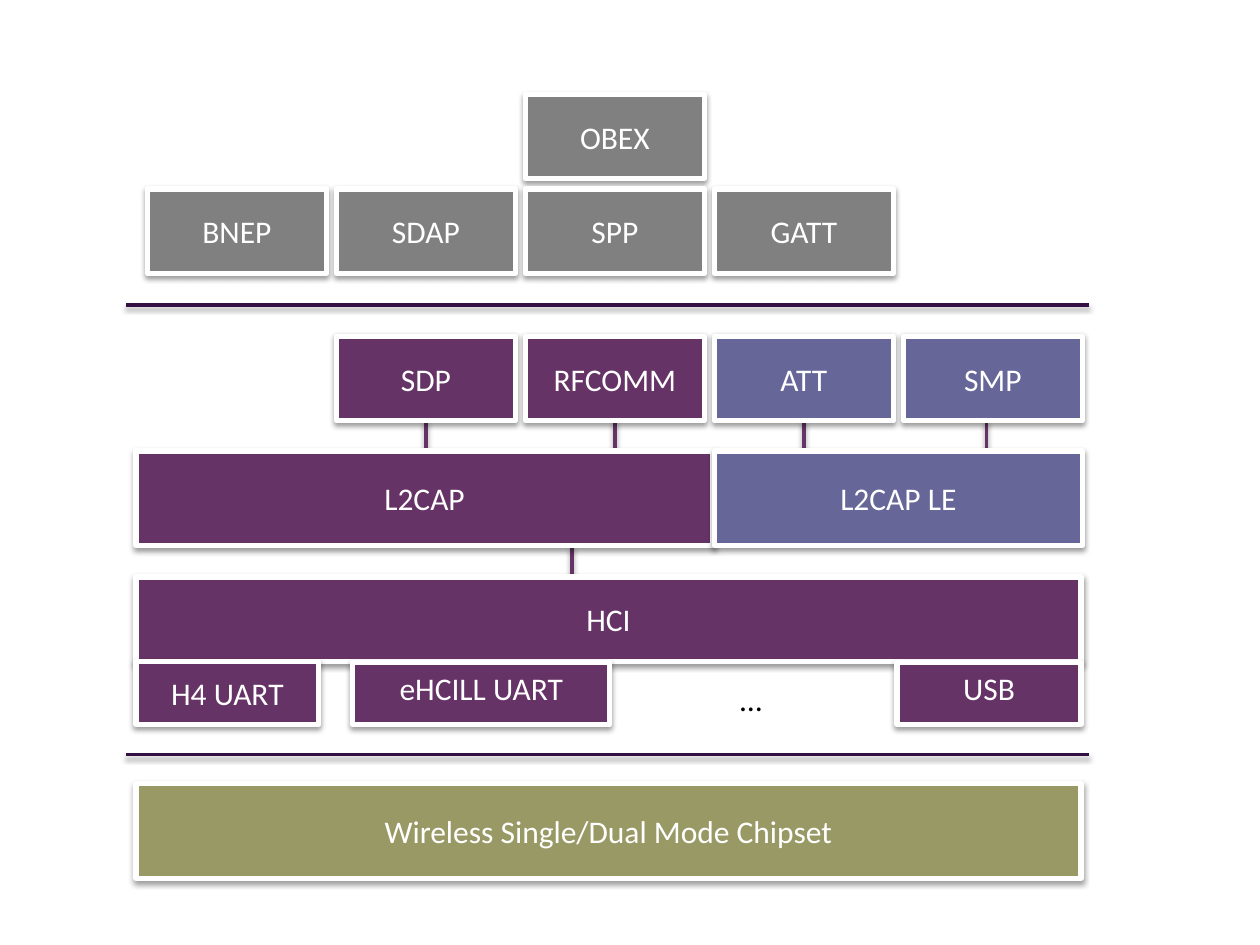
from dataclasses import dataclass

from lxml.etree import SubElement as Sub
from pptx import Presentation
from pptx.dml.color import RGBColor
from pptx.enum.shapes import MSO_CONNECTOR as Link, MSO_SHAPE as Kind
from pptx.enum.text import MSO_ANCHOR as Anchor, PP_ALIGN as Align
from pptx.oxml.ns import qn
from pptx.util import Inches, Pt

PLUM, SLATE, GRAY, OLIVE = "663366", "666699", "808080", "999966"
WHITE, BLACK, DARK = "FFFFFF", "000000", "330F42"
LEFT, WIDE = 1.08, 7.5
COL, STEP, CELL, HIGH = 1.17, 1.5, 1.42, 0.67


@dataclass
class Box:
    """A labelled block of the stack."""
    text: str
    left: float
    top: float
    width: float
    height: float
    fill: str = PLUM
    anchor: Anchor = Anchor.MIDDLE


@dataclass
class Rule:
    """A straight line between two points."""
    left: float
    top: float
    right: float
    bottom: float
    color: str = PLUM


def rgb(code: str) -> RGBColor:
    """Turn a hex string into a colour."""
    return RGBColor.from_string(code)


def cell(text: str, col: int, top: float, fill: str) -> Box:
    """Place a protocol block in a column of the grid."""
    return Box(text, COL + col * STEP, top, CELL, HIGH, fill)


def shade(item) -> None:
    """Give a shape or line a soft shadow below it."""
    props = item._element.spPr
    for old in props.findall(qn("a:effectLst")):
        props.remove(old)
    cast = Sub(Sub(props, qn("a:effectLst")), qn("a:outerShdw"), blurRad="40000",
               dist="20000", dir="5400000", rotWithShape="0")
    tone = Sub(cast, qn("a:srgbClr"), val=BLACK)
    Sub(tone, qn("a:alpha"), val="38000")


def write(item, text: str, color: str, anchor: Anchor) -> None:
    """Put one centred line of text in a shape."""
    frame = item.text_frame
    frame.word_wrap, frame.vertical_anchor = True, anchor
    para = frame.paragraphs[0]
    para.alignment = Align.CENTER
    run = para.add_run()
    run.text = text
    for name, value in {"name": "Calibri", "size": Pt(18)}.items():
        setattr(run.font, name, value)
    run.font.color.rgb = rgb(color)


def stroke(item, color: str, width: float) -> None:
    """Set the line of a shape or connector."""
    item.line.color.rgb = rgb(color)
    item.line.width = Pt(width)


def draw_box(slide, box: Box) -> None:
    """Draw a block with a white frame."""
    place = map(Inches, (box.left, box.top, box.width, box.height))
    item = slide.shapes.add_shape(Kind.RECTANGLE, *place)
    item.fill.solid()
    item.fill.fore_color.rgb = rgb(box.fill)
    stroke(item, WHITE, 3)
    shade(item)
    write(item, box.text, WHITE, box.anchor)


def draw_rule(slide, rule: Rule) -> None:
    """Draw a connecting or dividing line."""
    ends = map(Inches, (rule.left, rule.top, rule.right, rule.bottom))
    item = slide.shapes.add_connector(Link.STRAIGHT, *ends)
    stroke(item, rule.color, 2)
    shade(item)


RULES = [
    *(Rule(x, 3.33, x, 3.58) for x in (3.38, 4.88, 6.38, 7.83)),
    Rule(4.54, 4.33, 4.54, 4.58),
    *(Rule(1, y, 8.64, y, DARK) for y in (2.42, 5.99)),
]
BOXES = [
    Box("Wireless Single/Dual Mode Chipset", LEFT, 6.22, WIDE, 0.75, OLIVE),
    Box("HCI", LEFT, 4.58, WIDE, HIGH),
    Box("L2CAP", LEFT, 3.58, 4.58, 0.75),
    Box("L2CAP LE", 5.67, 3.58, 2.92, 0.75, SLATE),
    Box("H4 UART", LEFT, 5.25, 1.45, 0.5),
    Box("eHCILL UART", 2.8, 5.26, 2.04, 0.49, anchor=Anchor.TOP),
    Box("USB", 7.12, 5.26, 1.46, 0.49, anchor=Anchor.TOP),
    *(cell(text, col, 2.67, fill) for col, (text, fill) in enumerate(
        [("SDP", PLUM), ("RFCOMM", PLUM), ("ATT", SLATE), ("SMP", SLATE)], 1)),
    cell("OBEX", 2, 0.75, GRAY),
    *(cell(text, col, 1.5, GRAY)
      for col, text in enumerate(["BNEP", "SDAP", "SPP", "GATT"])),
]


def main() -> None:
    """Build the protocol stack slide."""
    deck = Presentation()
    deck.slide_width, deck.slide_height = Inches(10), Inches(7.5)
    slide = deck.slides.add_slide(deck.slide_layouts[6])
    for rule in RULES:
        draw_rule(slide, rule)
    for box in BOXES:
        draw_box(slide, box)
    more = slide.shapes.add_textbox(*map(Inches, (5.33, 5.35, 1.26, 0.4)))
    write(more, "…", BLACK, Anchor.TOP)
    deck.save("out.pptx")


main()
